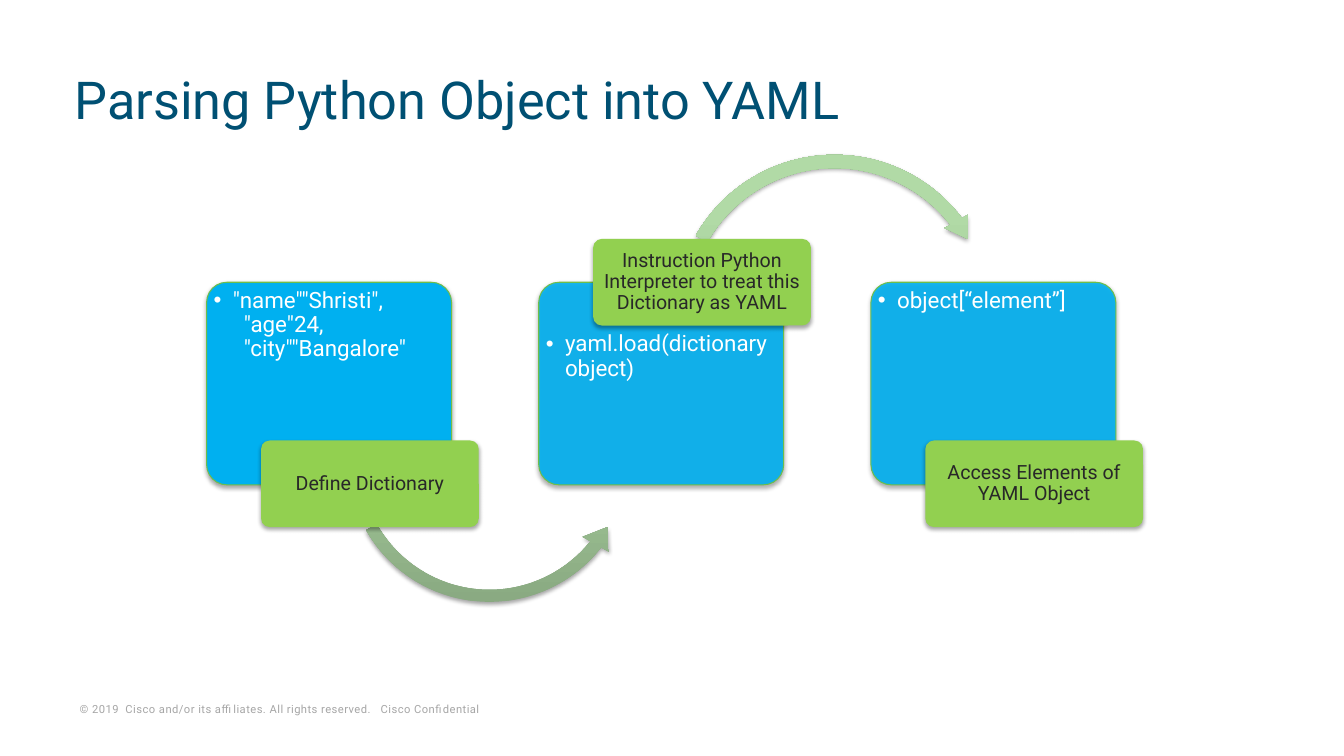
from typing import NamedTuple, Optional

from lxml.etree import SubElement as Sub
from pptx import Presentation
from pptx.dml.color import RGBColor as Rgb
from pptx.enum.shapes import MSO_SHAPE as Kind
from pptx.enum.text import MSO_ANCHOR as Anchor, MSO_AUTO_SIZE as Fit, PP_ALIGN as Align
from pptx.oxml import parse_xml
from pptx.oxml.ns import nsdecls, qn
from pptx.util import Emu, Inches, Pt

FONT = "Roboto"
HUES = {
    "title": "005073", "foot": "A6A6A6", "card": "00B0F0", "edge": "6EBE4A",
    "label": "92D050", "dark": "282828", "white": "FFFFFF",
    "deep": "88A880", "mid": "B1DAA6", "pale": "B1DCA6",
}

# Grid: ten columns and ten rows to the inch
UNIT = Inches(0.1)
WIDE, HIGH = 133.33, 75
LEFT, SPAN = 20.5, 65.9  # first card, and from first to last card
CARD_TOP, CARD_W, CARD_H = 28, 24.3, 20.1
LABEL_IN, LABEL_W, LABEL_H = 5.4, 21.6, 8.6
LOW, TOP = 43.7, 23.7  # label rows
PAD, DROP = 0.4, 4.3  # list offset, and its shift below a top label


class Box(NamedTuple):
    x: float
    y: float
    w: float
    h: float


class Arc(NamedTuple):
    kind: Kind
    box: Box
    turns: tuple[float, ...]


class Step(NamedTuple):
    code: str
    label: str
    high: bool = False
    alpha: int = 90
    arc: Optional[Arc] = None


STEPS = [
    Step('"name""Shristi",\v  "age"24,\v  "city""Bangalore"', "Define Dictionary",
         alpha=100,
         arc=Arc(Kind.LEFT_CIRCULAR_ARROW, Box(33.6, 30.7, 29.9, 29.9),
                 (0.04, 5.25, 23, 90.25, 0.05))),
    Step("yaml.load(dictionary object)",
         "Instruction Python Interpreter to treat this Dictionary as YAML",
         high=True,
         arc=Arc(Kind.CIRCULAR_ARROW, Box(66.3, 14.7, 33, 33),
                 (0.04, 4.71, 193.54, 125.76, 0.04))),
    Step("object[“element”]", "Access Elements of YAML Object"),
]


def hue(name: str) -> Rgb:
    return Rgb.from_string(HUES[name])


def units(box: Box) -> list[Emu]:
    return [Emu(round(part * UNIT)) for part in box]


def place(shape, box: Box) -> None:
    shape.left, shape.top, shape.width, shape.height = units(box)


def shade(shape) -> None:
    """Cast a soft shadow straight down."""
    shape.shadow.inherit = False
    glow = shape._element.spPr.find(qn("a:effectLst"))
    glow.append(parse_xml(
        f'<a:outerShdw {nsdecls("a")} blurRad="{Pt(3.1)}" dist="{Pt(1.8)}" '
        'dir="5400000" rotWithShape="0"><a:srgbClr val="000000">'
        '<a:alpha val="35000"/></a:srgbClr></a:outerShdw>'))


def draw(slide, kind: Kind, box: Box, turns: tuple[float, ...]):
    shape = slide.shapes.add_shape(kind, *units(box))
    for spot, turn in enumerate(turns):
        shape.adjustments[spot] = turn
    shape.line.fill.background()
    shade(shape)
    return shape


def write(shape, text: str, size: float, color: str, pads: tuple[float, float],
          anchor: Anchor, align: Align, lead: float = 1):
    """Fill a shape with one paragraph and return it."""
    frame = shape.text_frame
    frame.auto_size = Fit.NONE
    frame.word_wrap = True
    frame.vertical_anchor = anchor
    frame.margin_left = frame.margin_right = Inches(pads[0])
    frame.margin_top = frame.margin_bottom = Inches(pads[1])
    para = frame.paragraphs[0]
    para.text = text
    para.alignment, para.line_spacing = align, lead
    para.space_before = Pt(0)
    return para


def style(para, size: float, color: str) -> None:
    font = para.font
    font.name, font.size, font.bold = FONT, Pt(size), False
    font.color.rgb = hue(color)


def text(shape, words: str, size: float, color: str, pads: tuple[float, float],
         anchor: Anchor, align: Align, lead: float = 1, dot: bool = False):
    para = write(shape, words, size, color, pads, anchor, align, lead)
    if dot:
        props = para._p.get_or_add_pPr()
        props.set("marL", str(Inches(0.19)))
        props.set("indent", str(-Inches(0.19)))
        Sub(props, qn("a:buChar")).set("char", "•")
    style(para, size, color)
    return para


def card(slide, box: Box, alpha: int) -> None:
    shape = draw(slide, Kind.ROUNDED_RECTANGLE, box, (0.1,))
    shape.fill.solid()
    shape.fill.fore_color.rgb = hue("card")
    if alpha < 100:
        tint = shape._element.spPr.find(qn("a:solidFill"))[0]
        Sub(tint, qn("a:alpha")).set("val", str(alpha * 1000))
    shape.line.color.rgb = hue("edge")
    shape.line.width = Pt(0.75)


def sweep(slide, arc: Arc) -> None:
    shape = draw(slide, arc.kind, arc.box, arc.turns)
    shape.fill.gradient()
    shape.fill.gradient_angle = 90
    stops = shape._element.spPr.find(qn("a:gradFill")).find(qn("a:gsLst"))
    for stop in list(stops):
        stops.remove(stop)
    for spot, name in ((0, "deep"), (80, "mid"), (100, "pale")):
        stop = Sub(stops, qn("a:gs"))
        stop.set("pos", str(spot * 1000))
        Sub(stop, qn("a:srgbClr")).set("val", HUES[name])


def tag(slide, box: Box, words: str) -> None:
    shape = draw(slide, Kind.ROUNDED_RECTANGLE, box, (0.1,))
    shape.fill.solid()
    shape.fill.fore_color.rgb = hue("label")
    text(shape, words, 14, "dark", (0.05, 0.04), Anchor.MIDDLE, Align.CENTER, 0.9)


def stage(slide, step: Step, col: int, body) -> None:
    """Draw one step: card, list, arrow and label, from back to front."""
    x = LEFT + col * SPAN / (len(STEPS) - 1)
    card(slide, Box(x, CARD_TOP, CARD_W, CARD_H), step.alpha)
    y = CARD_TOP + PAD + (DROP if step.high else 0)
    place(body, Box(x + PAD, y, CARD_W - 2 * PAD, 14.8))
    text(body, step.code, 16, "white", (0.03, 0.03), Anchor.TOP, Align.LEFT, 0.9, dot=True)
    slide.shapes._spTree.append(body._element)
    if step.arc:
        sweep(slide, step.arc)
    row = TOP if step.high else LOW
    tag(slide, Box(x + LABEL_IN, row, LABEL_W, LABEL_H), step.label)


def main() -> None:
    deck = Presentation()
    deck.slide_width, deck.slide_height = Emu(round(WIDE * UNIT)), Emu(HIGH * UNIT)
    slide = deck.slides.add_slide(deck.slide_layouts.get_by_name("Comparison"))

    # Title
    title, *bodies = slide.placeholders
    place(title, Box(6.4, 5, 121.7, 10.7))
    text(title, "Parsing Python Object into YAML", 37.3, "title", (0.1, 0.05),
         Anchor.MIDDLE, Align.LEFT, 0.8)

    # Copyright line
    foot = slide.shapes.add_textbox(*units(Box(7, 69.1, 49.6, 2.3)))
    para = text(foot, "© 2019  Cisco and/or its affiliates. All rights reserved.   Cisco Confidential",
                8, "foot", (0.09, 0.04), Anchor.BOTTOM, Align.LEFT)
    para.runs[0].font._element.set("spc", "30")

    # Steps
    for col, (step, body) in enumerate(zip(STEPS, bodies)):
        stage(slide, step, col, body)
    for spare in bodies[len(STEPS):]:
        spare._element.getparent().remove(spare._element)

    deck.save("out.pptx")


if __name__ == "__main__":
    main()
